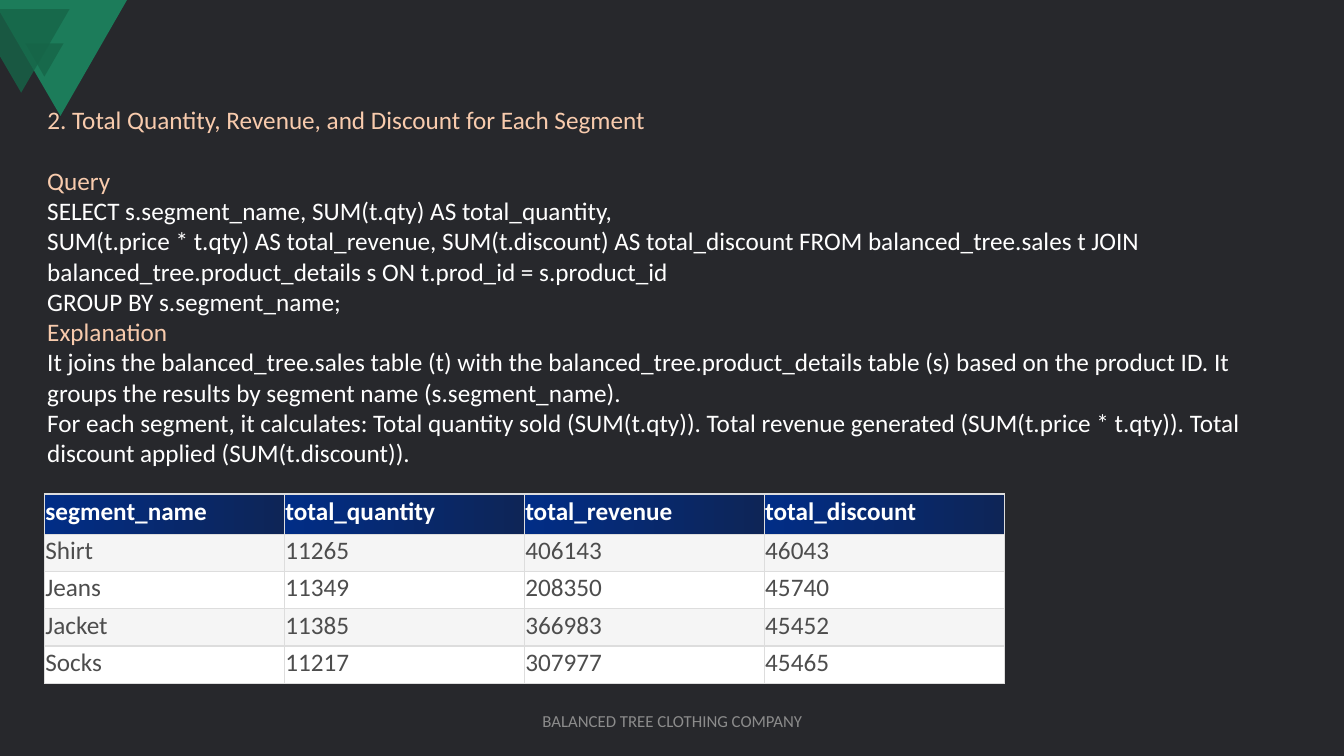
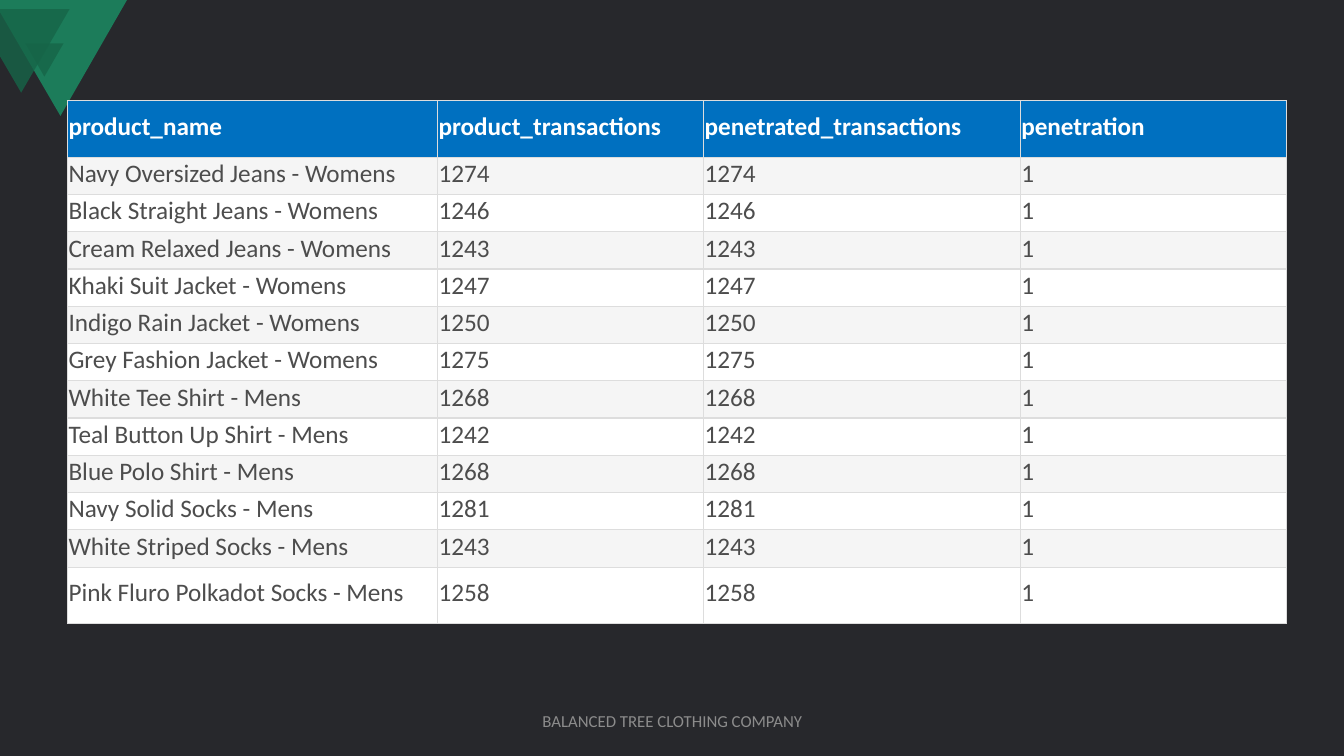
from dataclasses import dataclass

from lxml.etree import SubElement
from pptx import Presentation
from pptx.dml.color import RGBColor
from pptx.enum.shapes import MSO_SHAPE
from pptx.enum.text import MSO_ANCHOR, MSO_AUTO_SIZE, PP_ALIGN
from pptx.oxml.ns import qn
from pptx.util import Inches, Pt


@dataclass(frozen=True)
class Theme:
    font: str = "Calibri"
    text_size: int = 18
    footer_size: int = 12
    background: str = "27282C"
    green: str = "1C7C5A"
    dark_green: str = "166548"
    heading: str = "F8CBAD"
    white: str = "FFFFFF"
    footer: str = "8C8C8C"
    cell_text: str = "4D4D4D"
    band: str = "F5F5F5"
    border: str = "DDDDDD"


@dataclass(frozen=True)
class Passage:
    heading: str
    lines: tuple[str, ...]


@dataclass(frozen=True)
class ResultTable:
    left: float
    top: float
    columns: tuple[float, ...]
    row_heights: tuple[float, ...]
    header_fill: tuple[str, ...]  # one colour, or the two ends of a gradient
    rows: tuple[tuple[str, ...], ...]


THEME = Theme()
FOOTER = "BALANCED TREE CLOTHING COMPANY"
TITLE = "2. Total Quantity, Revenue, and Discount for Each Segment"

PASSAGES = (
    Passage("Query", (
        "SELECT s.segment_name, SUM(t.qty) AS total_quantity,",
        "SUM(t.price * t.qty) AS total_revenue, SUM(t.discount) AS total_discount "
        "FROM balanced_tree.sales t JOIN balanced_tree.product_details s "
        "ON t.prod_id = s.product_id",
        "GROUP BY s.segment_name;",
    )),
    Passage("Explanation", (
        "It joins the balanced_tree.sales table (t) with the "
        "balanced_tree.product_details table (s) based on the product ID. "
        "It groups the results by segment name (s.segment_name).",
        "For each segment, it calculates: Total quantity sold (SUM(t.qty)). "
        "Total revenue generated (SUM(t.price * t.qty)). "
        "Total discount applied (SUM(t.discount)).",
    )),
)

SEGMENTS = ResultTable(
    0.44, 4.9, (2.38,) * 4, (0.4,) + (0.37,) * 4, ("012D86", "0E2557"),
    (
        ("segment_name", "total_quantity", "total_revenue", "total_discount"),
        ("Shirt", "11265", "406143", "46043"),
        ("Jeans", "11349", "208350", "45740"),
        ("Jacket", "11385", "366983", "45452"),
        ("Socks", "11217", "307977", "45465"),
    ),
)

# Every transaction count equals its penetrated count, so penetration is 1
PRODUCT_TRANSACTIONS = (
    ("Navy Oversized Jeans - Womens", "1274"),
    ("Black Straight Jeans - Womens", "1246"),
    ("Cream Relaxed Jeans - Womens", "1243"),
    ("Khaki Suit Jacket - Womens", "1247"),
    ("Indigo Rain Jacket - Womens", "1250"),
    ("Grey Fashion Jacket - Womens", "1275"),
    ("White Tee Shirt - Mens", "1268"),
    ("Teal Button Up Shirt - Mens", "1242"),
    ("Blue Polo Shirt - Mens", "1268"),
    ("Navy Solid Socks - Mens", "1281"),
    ("White Striped Socks - Mens", "1243"),
    ("Pink Fluro Polkadot Socks - Mens", "1258"),
)

PENETRATION = ResultTable(
    0.67, 1, (3.67, 2.64, 3.14, 2.64), (0.56,) + (0.37,) * 11 + (0.56,), ("0070C0",),
    (
        ("product_name", "product_transactions", "penetrated_transactions", "penetration"),
        *((product, count, count, "1") for product, count in PRODUCT_TRANSACTIONS),
    ),
)


def rgb(color: str) -> RGBColor:
    return RGBColor.from_string(color)


def format_paragraph(paragraph, color: str, size: int = THEME.text_size,
                     bold: bool = False) -> None:
    for run in paragraph.runs:
        run.font.name = THEME.font
        run.font.size = Pt(size)
        run.font.bold = bold
        run.font.color.rgb = rgb(color)


def paint(shape, color: str, opacity: int = 100) -> None:
    shape.shadow.inherit = False
    shape.fill.solid()
    shape.fill.fore_color.rgb = rgb(color)
    shape.line.fill.background()
    if opacity < 100:
        tint = shape.fill._xPr.find(".//" + qn("a:srgbClr"))
        SubElement(tint, qn("a:alpha"), val=str(opacity * 1000))


def add_outline(slide, points: tuple[tuple[float, float], ...], color: str,
                opacity: int = 100) -> None:
    start, *rest = [(Inches(x), Inches(y)) for x, y in points]
    builder = slide.shapes.build_freeform(*start)
    builder.add_line_segments(rest)
    paint(builder.convert_to_shape(), color, opacity)


def add_frame(slide) -> None:
    """Draw the corner triangles and the footer."""
    add_outline(slide, ((0, 0), (1.26, 0), (0.6, 1.15), (0, 0.12)), THEME.green)
    small_triangle = slide.shapes.add_shape(
        MSO_SHAPE.ISOSCELES_TRIANGLE, Inches(0.25), Inches(0.43), Inches(0.38), Inches(0.33))
    small_triangle.rotation = 180
    paint(small_triangle, THEME.dark_green, 80)
    add_outline(slide, ((0, 0.09), (0.69, 0.09), (0.21, 0.92), (0, 0.56)),
                THEME.dark_green, 80)

    footer = slide.shapes.add_textbox(
        Inches(4.42), Inches(6.95), Inches(4.5), Inches(0.4)).text_frame
    footer.word_wrap = True
    footer.vertical_anchor = MSO_ANCHOR.MIDDLE
    footer.text = FOOTER
    footer.paragraphs[0].alignment = PP_ALIGN.CENTER
    format_paragraph(footer.paragraphs[0], THEME.footer, THEME.footer_size)


def add_title(slide, text: str) -> None:
    title = slide.shapes.title
    title.left, title.top = Inches(0.37), Inches(0.98)
    title.width, title.height = Inches(12.42), Inches(0.41)
    frame = title.text_frame
    frame.text = text
    frame.auto_size = MSO_AUTO_SIZE.NONE
    frame.vertical_anchor = MSO_ANCHOR.TOP
    frame.paragraphs[0].alignment = PP_ALIGN.LEFT
    format_paragraph(frame.paragraphs[0], THEME.heading)
    # Keep the title in front of the corner triangles
    slide.shapes._spTree.append(title._element)


def add_passages(slide, passages: tuple[Passage, ...]) -> None:
    frame = slide.shapes.add_textbox(
        Inches(0.37), Inches(1.59), Inches(12.42), Inches(3.12)).text_frame
    frame.word_wrap = True
    lines = [(line, color) for passage in passages
             for line, color in ((passage.heading, THEME.heading),
                                 *((text, THEME.white) for text in passage.lines))]
    frame.text = "\n".join(line for line, _ in lines)
    for paragraph, (_, color) in zip(frame.paragraphs, lines):
        format_paragraph(paragraph, color)


def add_borders(cell) -> None:
    properties = cell._tc.get_or_add_tcPr()
    for side in ("a:lnL", "a:lnR", "a:lnT", "a:lnB"):
        edge = SubElement(properties, qn(side), w=str(Pt(1)))
        SubElement(SubElement(edge, qn("a:solidFill")), qn("a:srgbClr"), val=THEME.border)


def fill_cell(cell, colors: tuple[str, ...]) -> None:
    if len(colors) == 1:
        cell.fill.solid()
        cell.fill.fore_color.rgb = rgb(colors[0])
        return
    cell.fill.gradient()
    cell.fill.gradient_angle = 0
    for stop, color in zip(cell.fill.gradient_stops, colors):
        stop.color.rgb = rgb(color)


def add_result_table(slide, result: ResultTable) -> None:
    table = slide.shapes.add_table(
        len(result.rows), len(result.columns), Inches(result.left), Inches(result.top),
        Inches(sum(result.columns)), Inches(sum(result.row_heights))).table
    table.horz_banding = False
    for column, width in zip(table.columns, result.columns):
        column.width = Inches(width)
    for index, (row, height) in enumerate(zip(table.rows, result.row_heights)):
        row.height = Inches(height)
        is_header = index == 0
        band = (THEME.band if index % 2 else THEME.white,)
        for cell, value in zip(row.cells, result.rows[index]):
            cell.text = value
            cell.vertical_anchor = MSO_ANCHOR.MIDDLE
            cell.margin_left = cell.margin_right = cell.margin_top = Inches(0.01)
            cell.margin_bottom = Inches(0.05)
            add_borders(cell)
            fill_cell(cell, result.header_fill if is_header else band)
            format_paragraph(cell.text_frame.paragraphs[0],
                             THEME.white if is_header else THEME.cell_text, bold=is_header)


def main() -> None:
    deck = Presentation()
    deck.slide_width, deck.slide_height = Inches(13.33), Inches(7.5)
    backdrop = deck.slide_master.background.fill
    backdrop.solid()
    backdrop.fore_color.rgb = rgb(THEME.background)
    title_only, blank = deck.slide_layouts[5], deck.slide_layouts[6]

    # Totals by segment
    segment_slide = deck.slides.add_slide(title_only)
    add_frame(segment_slide)
    add_title(segment_slide, TITLE)
    add_passages(segment_slide, PASSAGES)
    add_result_table(segment_slide, SEGMENTS)

    # Penetration by product
    penetration_slide = deck.slides.add_slide(blank)
    add_frame(penetration_slide)
    add_result_table(penetration_slide, PENETRATION)

    deck.save("out.pptx")


if __name__ == "__main__":
    main()
